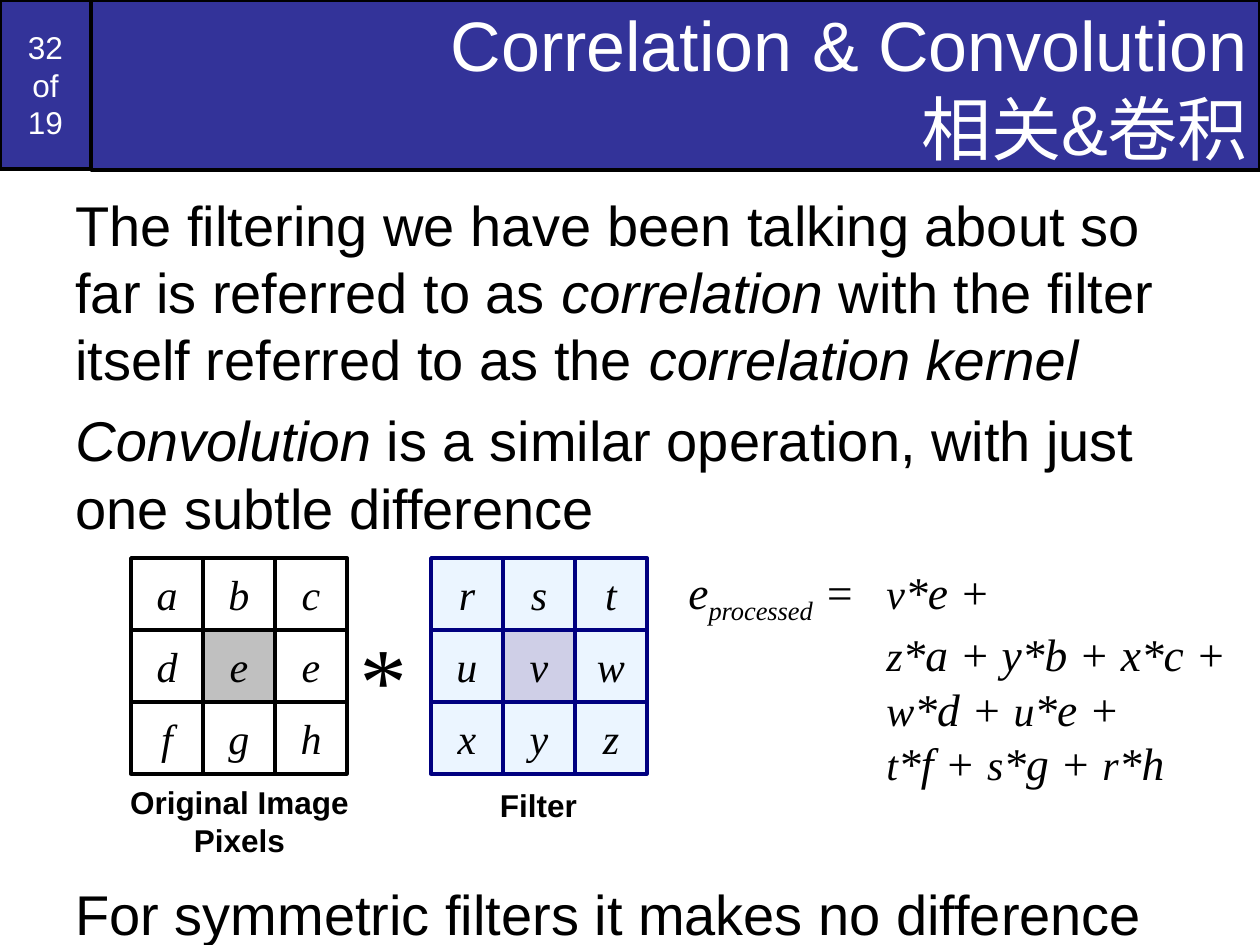
import pptx
import pptx.util
import pptx.dml.color
import pptx.enum.shapes
import pptx.enum.text
import lxml.etree

PX = 914400 // 126
ALIGN = pptx.enum.text.PP_ALIGN
ANCHOR = pptx.enum.text.MSO_ANCHOR
THEME = {
    "banner": "333399", "white": "FFFFFF", "black": "000000", "gray": "C0C0C0",
    "navy": "000080", "sky": "99CCFF",
    "sans": "Arial", "serif": "Times New Roman",
    "title": 40, "body": 32, "equation": 26, "cell": 24, "label": 18, "operator": 54,
    "line": 2,
}


def write(shape, paragraphs, size, font="sans", color="black", align=ALIGN.LEFT,
          anchor=ANCHOR.TOP, wrap=True, gaps=(), **style):
    """Fill a shape with paragraphs, each a list of (text, format) runs."""
    frame = shape.text_frame
    frame.word_wrap = wrap
    frame.vertical_anchor = anchor
    for index, runs in enumerate(paragraphs):
        paragraph = frame.add_paragraph() if index else frame.paragraphs[0]
        paragraph.alignment = align
        if index:
            paragraph.space_before = pptx.util.Pt(gaps[index - 1])
        for text, changes in runs:
            values = {"name": THEME[font], "size": pptx.util.Pt(THEME[size]), **style, **changes}
            offset = values.pop("baseline", None)
            for number, line in enumerate(text.split("\n")):
                if number:
                    paragraph.add_line_break()
                if not line:
                    continue
                run = paragraph.add_run()
                run.text = line
                for name, value in values.items():
                    setattr(run.font, name, value)
                run.font.color.rgb = pptx.dml.color.RGBColor.from_string(THEME[color])
                if offset:
                    run.font._element.set("baseline", str(offset))


def add_box(left, top, width, height, fill, line, opacity=100):
    """Add an outlined rectangle, see-through if opacity is below 100."""
    shape = slide.shapes.add_shape(pptx.enum.shapes.MSO_SHAPE.RECTANGLE,
                                   left * PX, top * PX, width * PX, height * PX)
    shape.shadow.inherit = False
    shape.fill.solid()
    shape.fill.fore_color.rgb = pptx.dml.color.RGBColor.from_string(THEME[fill])
    shape.line.color.rgb = pptx.dml.color.RGBColor.from_string(THEME[line])
    shape.line.width = pptx.util.Pt(THEME["line"])
    if opacity < 100:
        color = shape.fill._xPr.find(".//" + pptx.oxml.ns.qn("a:srgbClr"))
        lxml.etree.SubElement(color, pptx.oxml.ns.qn("a:alpha"), val=str(opacity * 1000))
    return shape


presentation = pptx.Presentation()
presentation.slide_width = 1260 * PX
presentation.slide_height = 945 * PX
slide = presentation.slides.add_slide(presentation.slide_layouts[6])

# Banner: page count and title
write(add_box(0, 0, 91, 169, "banner", "black"), [[("32\nof\n19", {})]], "label",
      color="white", align=ALIGN.CENTER, anchor=ANCHOR.MIDDLE)
write(add_box(91, 0, 1169, 170, "banner", "black"),
      [[("Correlation & Convolution\n相关&卷积", {})]], "title",
      color="white", align=ALIGN.RIGHT, anchor=ANCHOR.MIDDLE)

# Body text, with room for the figure before the last paragraph
italic = {"italic": True}
body = slide.shapes.add_textbox(63 * PX, 184 * PX, 1134 * PX, 790 * PX)
write(body, [
    [("The filtering we have been talking about so far is referred to as ", {}),
     ("correlation ", italic),
     ("with the filter itself referred to as the ", {}),
     ("correlation kernel", italic)],
    [("Convolution", italic),
     (" is a similar operation, with just one subtle difference", {})],
    [("For symmetric filters it makes no difference", {})],
], "body", gaps=(8, 194))

# Equation, its terms lined up at a tab stop
small = {"size": pptx.util.Pt(THEME["cell"])}
equation = slide.shapes.add_textbox(676 * PX, 558 * PX, 575 * PX, 238 * PX)
properties = equation.text_frame.paragraphs[0]._p.get_or_add_pPr()
tabs = lxml.etree.SubElement(properties, pptx.oxml.ns.qn("a:tabLst"))
lxml.etree.SubElement(tabs, pptx.oxml.ns.qn("a:tab"), pos=str(198 * PX), algn="l")
write(equation, [[
    ("e", {}), ("processed", {"baseline": -25000}), (" = \t", {}),
    ("v", small), ("*e + \n\t", {}),
    ("z", small), ("*a + y*b + x*c + \n\t", {}),
    ("w", small), ("*d + ", {}), ("u", small), ("*e + \n\t", {}),
    ("t", small), ("*f + ", {}), ("s", small), ("*g + ", {}), ("r", small), ("*h", {}),
]], "equation", font="serif", wrap=False, italic=True)

# Filter and image grids, three by three with a marked centre
CELL, GRID_TOP = 72, 558
grids = [
    (431, "rstuvwxyz", "sky", "navy", "navy", 19),
    (131, "abcdeefgh", "white", "gray", "black", 100),
]
for grid_left, letters, fill, center_fill, line, opacity in grids:
    for index, letter in enumerate(letters):
        row, column = divmod(index, 3)
        cell = add_box(grid_left + column * CELL, GRID_TOP + row * CELL, CELL, CELL,
                       center_fill if index == 4 else fill, line, opacity)
        write(cell, [[(letter, {})]], "cell", font="serif", align=ALIGN.CENTER,
              anchor=ANCHOR.MIDDLE, wrap=False, italic=True)

# Grid captions
for left, top, height, caption in [(413, 780, 50, "Filter"),
                                   (114, 777, 88, "Original Image Pixels")]:
    label = slide.shapes.add_textbox(left * PX, top * PX, 251 * PX, height * PX)
    write(label, [[(caption, {})]], "label", align=ALIGN.CENTER, bold=True)

# Operator between the grids
operator = slide.shapes.add_textbox(343 * PX, 614 * PX, 72 * PX, 126 * PX)
write(operator, [[("*", {})]], "operator", font="serif", align=ALIGN.CENTER,
      wrap=False, italic=True)

presentation.save("out.pptx")
